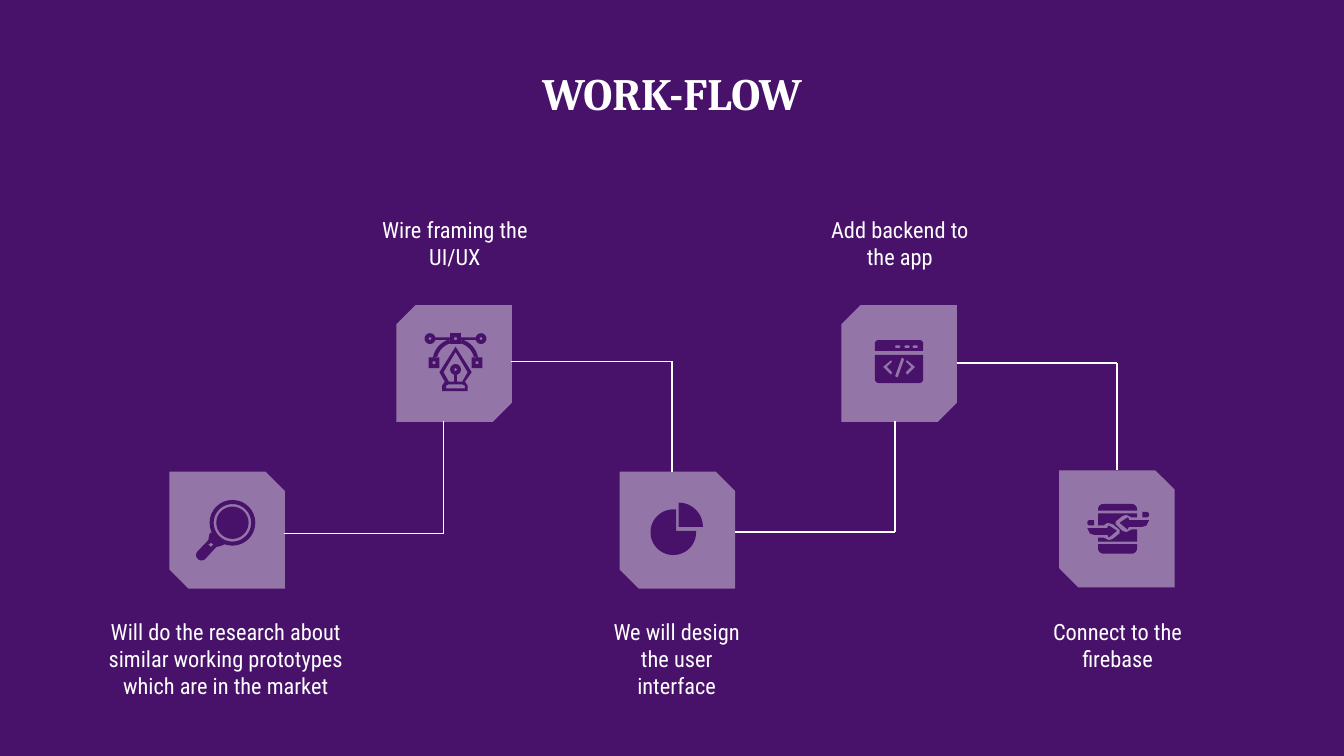
from dataclasses import dataclass
from itertools import pairwise
from math import cos, radians, sin

from lxml.etree import SubElement
from pptx import Presentation
from pptx.dml.color import RGBColor as RGB
from pptx.enum.shapes import MSO_CONNECTOR as CXN, MSO_SHAPE as SHAPE
from pptx.enum.text import MSO_ANCHOR as ANCHOR, PP_ALIGN as ALIGN
from pptx.oxml.ns import qn
from pptx.util import Inches, Pt


@dataclass(frozen=True)
class Theme:
    purple: RGB = RGB(0x48, 0x12, 0x6A)
    white: RGB = RGB(0xFF, 0xFF, 0xFF)
    card_alpha: int = 42
    title_font: str = "Cambria"
    body_font: str = "Roboto Condensed"
    title_size: Pt = Pt(24)
    body_size: Pt = Pt(12)
    line_width: Pt = Pt(0.75)


def arc(cx, cy, r, start=0, end=360, steps=32):
    angles = [radians(start + (end - start) * i / steps) for i in range(steps + 1)]
    return [(cx + r * cos(a), cy + r * sin(a)) for a in angles]


def box(left, top, right, bottom, upper=0, lower=0):
    corners = [(left + upper, top + upper, upper, 180),
               (right - upper, top + upper, upper, 270),
               (right - lower, bottom - lower, lower, 0),
               (left + lower, bottom - lower, lower, 90)]
    pts = []
    for x, y, r, a in corners:
        pts += arc(x, y, r, a, a + 90, 8) if r else [(x, y)]
    return pts


def square(cx, cy, half):
    return box(cx - half, cy - half, cx + half, cy + half)


def mirror(pts, axis, dy=0):
    return [(2 * axis - x, y + dy) for x, y in pts]


def magnifier():
    cx, cy = 1.73, 3.89
    handle = (arc(cx, cy, 0.17, 110, 155)
              + [(1.56, 3.97), (1.55, 4.02)]
              + arc(1.5, 4.13, 0.04, 225, 45)
              + [(1.61, 4.07), (1.65, 4.06)])
    notch = [(1.57, 4.04), (1.59, 4.05), (1.57, 4.07), (1.55, 4.05)]
    return [[arc(cx, cy, 0.17), arc(cx, cy, 0.14), handle, notch],
            [arc(cx, cy, 0.12)]]


def pen_tool():
    mid = 3.39
    body = [(mid, 2.58), (3.51, 2.77), (3.46, 2.84), (3.48, 2.87), (3.48, 2.91),
            (3.29, 2.91), (3.29, 2.87), (3.31, 2.84), (3.27, 2.77)]
    nib = ([(mid, 2.62), (3.48, 2.77), (3.44, 2.84), (3.4, 2.84)]
           + arc(mid, 2.75, 0.04, 75, -255)
           + [(3.38, 2.84), (3.34, 2.84), (3.3, 2.77)])
    base = [(3.34, 2.86), (3.44, 2.86), (3.46, 2.87), (3.46, 2.89),
            (3.32, 2.89), (3.32, 2.87)]
    side = [arc(3.2, 2.52, 0.04), arc(3.2, 2.52, 0.01),
            square(3.23, 2.7, 0.04), square(3.23, 2.7, 0.01),
            box(3.24, 2.51, 3.35, 2.53),
            arc(mid, 2.69, 0.17, 190, 254) + arc(mid, 2.69, 0.14, 254, 190)]
    knob = [square(mid, 2.52, 0.04), square(mid, 2.52, 0.01)]
    return [[body, nib, base, arc(mid, 2.75, 0.01)],
            knob + side + [mirror(c, mid) for c in side]]


def pie():
    rest = arc(5.01, 3.96, 0.17, 270, 0) + [(5.18, 3.95), (5.03, 3.95), (5.03, 3.79)]
    wedge = arc(5.05, 3.92, 0.18, 270, 360) + [(5.05, 3.92)]
    return [[rest], [wedge]]


def browser():
    dots = [box(x, 2.57, x + 0.04, 2.59, 0.01, 0.01) for x in (6.66, 6.73, 6.79)]
    chevron = [(6.63, 2.68), (6.64, 2.69), (6.6, 2.73), (6.64, 2.77),
               (6.63, 2.79), (6.57, 2.73)]
    slash = [(6.71, 2.66), (6.73, 2.67), (6.68, 2.81), (6.66, 2.8)]
    return [[box(6.51, 2.53, 6.87, 2.61, 0.03)] + dots,
            [box(6.51, 2.64, 6.87, 2.85, 0, 0.03),
             chevron, mirror(chevron, 6.69), slash]]


def phone():
    screen = [(8.17, 3.82), (8.17, 3.91), (8.21, 3.91), (8.24, 3.89), (8.28, 3.9),
              (8.33, 3.94), (8.33, 3.97), (8.28, 4.01), (8.25, 4.02), (8.21, 4),
              (8.17, 4), (8.17, 4.03), (8.46, 4.03), (8.46, 3.94), (8.42, 3.94),
              (8.38, 3.96), (8.35, 3.95), (8.3, 3.9), (8.3, 3.88), (8.35, 3.84),
              (8.38, 3.83), (8.42, 3.85), (8.46, 3.85), (8.46, 3.82)]
    arrow = [(8.25, 3.91), (8.24, 3.92), (8.24, 3.93), (8.09, 3.93), (8.11, 3.97),
             (8.14, 3.98), (8.24, 3.98), (8.25, 4), (8.31, 3.95)]
    tail = arc(8.11, 3.89, 0.02, 90, 270) + [(8.14, 3.87), (8.14, 3.91)]
    parts = [arrow, tail]
    parts += [mirror(c, 8.32, -0.06) for c in parts]
    parts += [box(8.17, 3.75, 8.46, 3.8, 0.04), screen,
              box(8.17, 4.05, 8.46, 4.12, 0, 0.04)]
    return [[c] for c in parts]


class Deck:
    def __init__(self, theme):
        self.theme = theme
        self.prs = Presentation()
        self.prs.slide_width = Inches(10)
        self.prs.slide_height = Inches(10 * 9 / 16)
        self.s = self.prs.slides.add_slide(self.prs.slide_layouts[6])
        fill = self.s.background.fill
        fill.solid()
        fill.fore_color.rgb = theme.purple

    def paint(self, sp, color):
        sp.shadow.inherit = False
        sp.fill.solid()
        sp.fill.fore_color.rgb = color
        sp.line.fill.background()

    def text(self, text, left, top, width, height, **fmt):
        t = self.theme
        tf = self.s.shapes.add_textbox(*map(Inches, (left, top, width, height))).text_frame
        frame = {"word_wrap": True, "vertical_anchor": ANCHOR.TOP}
        frame |= {f"margin_{side}": Inches(0.1) for side in ("left", "top", "right", "bottom")}
        for key, value in frame.items():
            setattr(tf, key, value)
        p = tf.paragraphs[0]
        p.alignment = ALIGN.CENTER
        r = p.add_run()
        r.text = text
        for key, value in ({"name": t.body_font, "size": t.body_size} | fmt).items():
            setattr(r.font, key, value)
        r.font.color.rgb = t.white

    def card(self, left, top, snips):
        sp = self.s.shapes.add_shape(SHAPE.SNIP_2_DIAG_RECTANGLE,
                                     *map(Inches, (left, top, 0.86, 0.87)))
        for i, snip in enumerate(snips):
            sp.adjustments[i] = snip
        self.paint(sp, self.theme.white)
        color = sp.fill._xPr.find(qn("a:solidFill"))[0]
        SubElement(color, qn("a:alpha"), val=str(self.theme.card_alpha * 1000))

    def line(self, start, end):
        sp = self.s.shapes.add_connector(CXN.STRAIGHT, *map(Inches, start + end))
        sp.line.color.rgb = self.theme.white
        sp.line.width = self.theme.line_width
        SubElement(sp._element.spPr, qn("a:effectLst"))

    def icon(self, pieces):
        group = self.s.shapes.add_group_shape()
        for contours in pieces:
            fb = None
            for contour in contours:
                pts = [(Inches(x), Inches(y)) for x, y in contour]
                if fb is None:
                    fb = group.shapes.build_freeform(*pts[0])
                else:
                    fb.move_to(*pts[0])
                fb.add_line_segments(pts[1:], close=True)
            self.paint(fb.convert_to_shape(), self.theme.purple)


def main():
    theme = Theme()
    deck = Deck(theme)
    deck.text("WORK-FLOW", 2.15, 0.39, 5.7, 1.03,
              name=theme.title_font, size=theme.title_size, bold=True)

    lower, upper = (0, 1 / 6), (1 / 6, 0)
    steps = [
        (1.26, 3.51, lower, magnifier,
         "Will do the research about similar working prototypes which are in the market",
         0.69, 4.5, 1.98),
        (2.95, 2.27, upper, pen_tool, "Wire framing the UI/UX", 2.71, 1.51, 1.35),
        (4.61, 3.51, lower, pie, "We will design the user interface", 4.36, 4.5, 1.35),
        (6.26, 2.27, upper, browser, "Add backend to the app", 6.02, 1.51, 1.35),
        (7.88, 3.5, lower, phone, "Connect to the firebase", 7.64, 4.5, 1.35),
    ]
    for left, top, snips, icon, label, x, y, width in steps:
        deck.card(left, top, snips)
        deck.icon(icon())
        deck.text(label, x, y, width, 0.66)

    links = [
        [(2.11, 3.97), (3.3, 3.97), (3.3, 3.13)],
        [(3.8, 2.69), (5, 2.69), (5, 3.51)],
        [(5.47, 3.96), (6.66, 3.96), (6.66, 3.13)],
        [(7.12, 2.7), (8.31, 2.7), (8.31, 3.5)],
    ]
    for link in links:
        for start, end in pairwise(link):
            deck.line(start, end)

    deck.prs.save("out.pptx")


if __name__ == "__main__":
    main()
